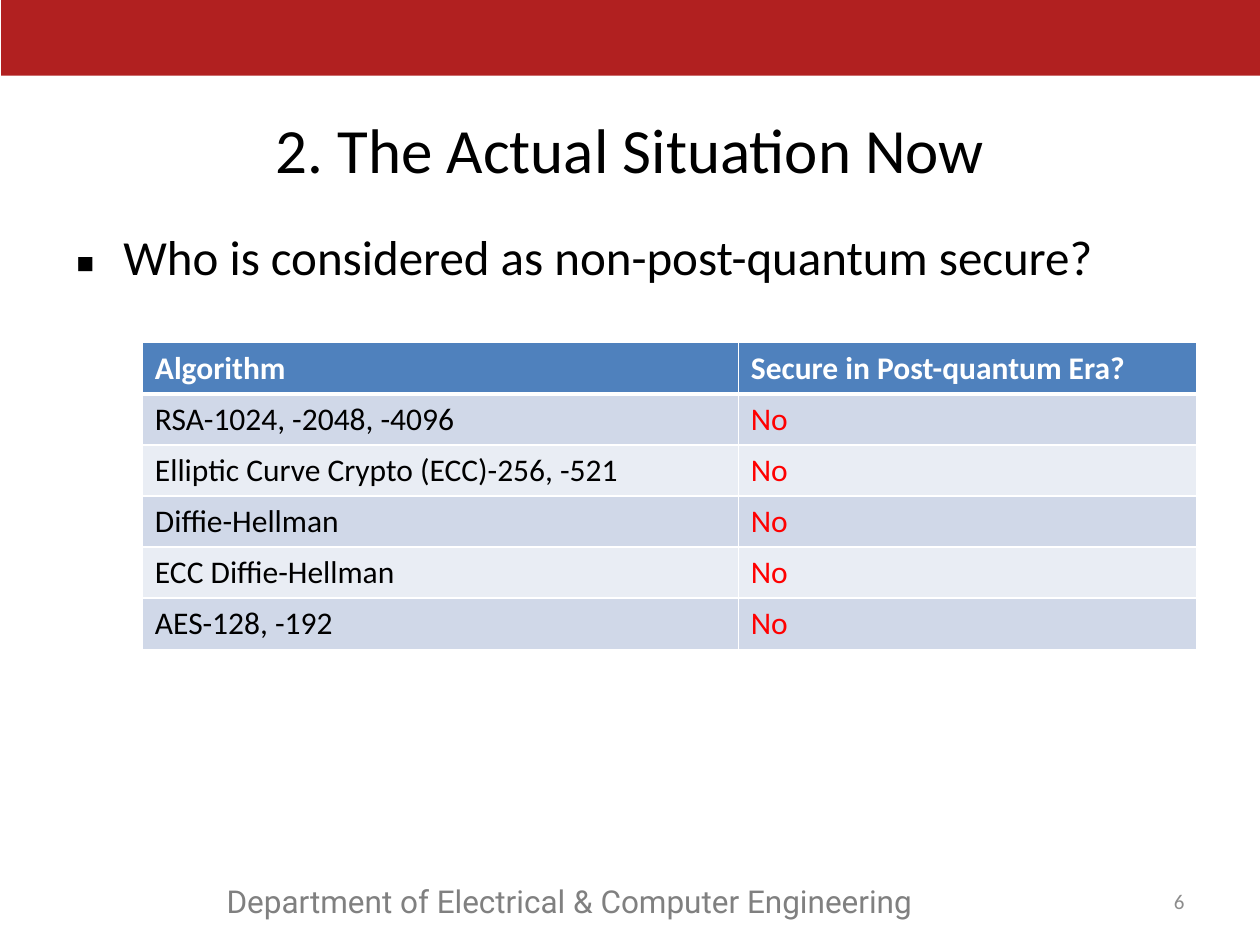
from lxml import etree
from pptx import Presentation
from pptx.dml.color import RGBColor
from pptx.enum.shapes import MSO_SHAPE
from pptx.enum.text import MSO_ANCHOR, PP_ALIGN
from pptx.oxml.ns import qn
from pptx.util import Inches, Pt

RECTANGLE = MSO_SHAPE.RECTANGLE
TOP, MIDDLE = MSO_ANCHOR.TOP, MSO_ANCHOR.MIDDLE
LEFT, CENTER, RIGHT = PP_ALIGN.LEFT, PP_ALIGN.CENTER, PP_ALIGN.RIGHT

HEADERS = ("Algorithm", "Secure in Post-quantum Era?")
ALGORITHMS = (
    "RSA-1024, -2048, -4096",
    "Elliptic Curve Crypto (ECC)-256, -521",
    "Diffie-Hellman",
    "ECC Diffie-Hellman",
    "AES-128, -192",
)
BAND_FILLS = ("D0D8E8", "E9EDF4")


def color(hex_value):
    return RGBColor.from_string(hex_value)


def write(frame, text, size=18, font="Calibri", ink="000000", bold=False,
          align=LEFT, anchor=TOP, bullet=None, indent=0):
    frame.word_wrap = True
    frame.vertical_anchor = anchor
    paragraph = frame.paragraphs[0]
    paragraph.alignment = align
    if bullet:
        properties = paragraph._p.get_or_add_pPr()
        properties.set("marL", str(Inches(indent)))
        properties.set("indent", str(-Inches(indent)))
        etree.SubElement(properties, qn("a:buFont"), typeface="Noto Sans Symbols")
        etree.SubElement(properties, qn("a:buChar"), char=bullet)
    paragraph.space_before = Pt(0)
    run = paragraph.add_run()
    run.text = text
    run.font.name = font
    run.font.size = Pt(size)
    run.font.bold = bold
    run.font.color.rgb = color(ink)


def place(shape, left, top, width, height):
    shape.left, shape.top = Inches(left), Inches(top)
    shape.width, shape.height = Inches(width), Inches(height)
    return shape.text_frame


def add_banner(slide, left, top, width, height):
    banner = slide.shapes.add_shape(
        RECTANGLE, Inches(left), Inches(top), Inches(width), Inches(height))
    banner.shadow.inherit = False
    banner.fill.solid()
    banner.fill.fore_color.rgb = color("B12020")
    banner.line.fill.background()


def add_headings(slide, left, top):
    title, body = slide.placeholders
    write(place(title, left, top, 9, 0.74), "2. The Actual Situation Now",
          size=36, align=CENTER, anchor=MIDDLE)
    write(place(body, left, top + 0.94, 9.19, 4.95),
          "Who is considered as non-post-quantum secure?",
          size=28, bullet="▪", indent=0.38)


def set_borders(cell, bottom_width):
    """Draw white cell borders; call before filling, as the XML order requires."""
    properties = cell._tc.get_or_add_tcPr()
    for side, width in (("L", 1), ("R", 1), ("T", 1), ("B", bottom_width)):
        border = etree.SubElement(properties, qn(f"a:ln{side}"), w=str(Pt(width)))
        fill = etree.SubElement(border, qn("a:solidFill"))
        etree.SubElement(fill, qn("a:srgbClr"), val="FFFFFF")


def add_security_table(slide, left, top, column_widths, row_height):
    rows = [HEADERS] + [(algorithm, "No") for algorithm in ALGORITHMS]
    table = slide.shapes.add_table(
        len(rows), len(HEADERS), Inches(left), Inches(top),
        Inches(sum(column_widths)), Inches(row_height * len(rows))).table
    for column, width in zip(table.columns, column_widths):
        column.width = Inches(width)
    for row_index, values in enumerate(rows):
        header = row_index == 0
        for column_index, value in enumerate(values):
            cell = table.cell(row_index, column_index)
            set_borders(cell, bottom_width=3 if header else 1)
            cell.fill.solid()
            cell.fill.fore_color.rgb = color(
                "4F81BD" if header else BAND_FILLS[(row_index - 1) % 2])
            ink = "FFFFFF" if header else ("000000", "FF0000")[column_index]
            write(cell.text_frame, value, ink=ink, bold=header)
            cell.vertical_anchor = MIDDLE if header else TOP


def add_footer(slide, left, top, width, height):
    number_width = 0.59
    department = slide.shapes.add_textbox(0, 0, 0, 0)
    write(place(department, left, top, 5.77, height),
          "Department of Electrical & Computer Engineering",
          font="Roboto", ink="808080")
    number = slide.shapes.add_textbox(0, 0, 0, 0)
    write(place(number, left + width - number_width, top, number_width, height),
          "6", size=12, ink="8C8C8C", align=RIGHT, anchor=MIDDLE)


def main():
    deck = Presentation()
    deck.slide_width, deck.slide_height = Inches(10), Inches(7.5)
    slide = deck.slides.add_slide(deck.slide_layouts[1])
    add_banner(slide, 0.01, 0, 10, 0.6)
    add_headings(slide, 0.5, 0.81)
    add_security_table(slide, 1.13, 2.72, (4.73, 3.64), 0.405)
    add_footer(slide, 1.7, 6.95, 7.8, 0.4)
    deck.save("out.pptx")


if __name__ == "__main__":
    main()
